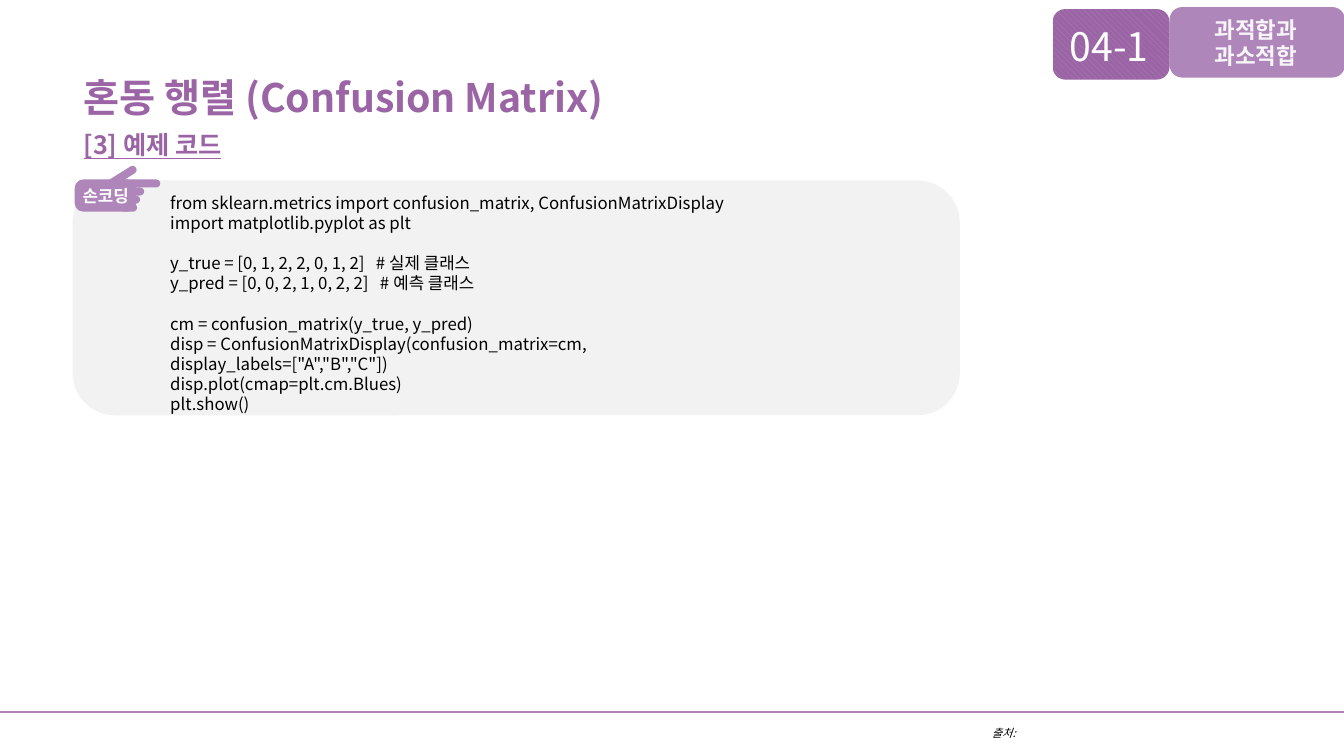
from lxml import etree
from pptx import Presentation
from pptx.dml.color import RGBColor
from pptx.enum.dml import MSO_PATTERN
from pptx.enum.shapes import MSO_CONNECTOR, MSO_SHAPE
from pptx.oxml.ns import qn
from pptx.util import Inches, Pt

ROUNDED = MSO_SHAPE.ROUNDED_RECTANGLE
STRAIGHT = MSO_CONNECTOR.STRAIGHT
WIDE_DIAGONAL = MSO_PATTERN.WIDE_DOWNWARD_DIAGONAL

FONT = "Noto Sans CJK KR"
COLORS = {
    "purple": "9A64A5",
    "light_purple": "AF85B9",
    "hand": "AF86BA",
    "panel": "F2F2F2",
    "topic": "F8F5F9",
    "white": "FFFFFF",
    "black": "000000",
}

# Each block of code is set apart by a gap of one line
CODE_BLOCKS = [
    [
        "from sklearn.metrics import confusion_matrix, ConfusionMatrixDisplay",
        "import matplotlib.pyplot as plt",
    ],
    [
        "y_true = [0, 1, 2, 2, 0, 1, 2]   # 실제 클래스",
        "y_pred = [0, 0, 2, 1, 0, 2, 2]   # 예측 클래스",
    ],
    [
        "cm = confusion_matrix(y_true, y_pred)",
        'disp = ConfusionMatrixDisplay(confusion_matrix=cm, display_labels=["A","B","C"])',
        "disp.plot(cmap=plt.cm.Blues)",
        "plt.show()",
    ],
]

# Fingers of the pointing hand: left, top, width, rotation
FINGER_HEIGHT = 0.08
FINGERS = [
    (1.19, 2.02, 0.17, 0),
    (1.19, 1.94, 0.2, 0),
    (1.17, 1.86, 0.26, 0),
    (1.19, 1.78, 0.4, 0),
    (0.98, 1.73, 0.4, 327.9),
]


def rgb(name):
    return RGBColor.from_string(COLORS[name])


def style_paragraph(paragraph, size, color, line_height, bold=False, italic=False, underline=False):
    paragraph.line_spacing = Pt(line_height)
    font = paragraph.font
    font.size = Pt(size)
    font.name = FONT
    font.color.rgb = rgb(color)
    font.bold = bold
    font.italic = italic
    font.underline = underline
    # Korean letters take the East Asian typeface
    properties = paragraph._p.pPr.find(qn("a:defRPr"))
    etree.SubElement(properties, qn("a:ea")).set("typeface", FONT)


def add_text_box(shapes, left, top, width, height, wrap=True):
    box = shapes.add_textbox(Inches(left), Inches(top), Inches(width), Inches(height))
    box.text_frame.word_wrap = wrap
    return box.text_frame


def add_label(shapes, text, left, top, width, height, wrap=True, **style):
    paragraph = add_text_box(shapes, left, top, width, height, wrap).paragraphs[0]
    paragraph.text = text
    style_paragraph(paragraph, **style)


def add_rounded(shapes, left, top, width, height, corner, color):
    shape = shapes.add_shape(ROUNDED, Inches(left), Inches(top), Inches(width), Inches(height))
    shape.adjustments[0] = corner
    shape.shadow.inherit = False
    shape.fill.solid()
    shape.fill.fore_color.rgb = rgb(color)
    shape.line.fill.background()
    return shape


def add_footer_line(shapes):
    line = shapes.add_connector(STRAIGHT, 0, Inches(7.06), Inches(13.33), Inches(7.06))
    line.line.color.rgb = rgb("light_purple")
    line.line.width = Pt(1.5)
    etree.SubElement(line._element.spPr, qn("a:effectLst"))


def add_hand(shapes):
    hand = shapes.add_group_shape().shapes
    add_rounded(hand, 0.74, 1.78, 0.61, 0.32, 0.27, "hand")
    for left, top, width, rotation in FINGERS:
        finger = add_rounded(hand, left, top, width, FINGER_HEIGHT, 0.5, "hand")
        finger.rotation = rotation


def add_code(shapes):
    size, line_height = 12, 14.4
    frame = add_text_box(shapes, 1.59, 1.86, 6.44, 2.12)
    paragraph = frame.paragraphs[0]
    for block_index, block in enumerate(CODE_BLOCKS):
        for line_index, code in enumerate(block):
            if block_index or line_index:
                paragraph = frame.add_paragraph()
            paragraph.text = code
            style_paragraph(paragraph, size, "black", line_height)
            if block_index and line_index == 0:
                paragraph.space_before = Pt(line_height)


def add_section_tabs(shapes):
    number_tab = add_rounded(shapes, 10.44, 0.09, 1.16, 0.7, 0.18, "purple")
    number_tab.fill.patterned()
    number_tab.fill.pattern = WIDE_DIAGONAL
    number_tab.fill.fore_color.rgb = rgb("hand")
    number_tab.fill.back_color.rgb = rgb("purple")
    add_rounded(shapes, 11.6, 0.07, 1.74, 0.7, 0.18, "hand")
    add_label(shapes, "04-1", 10.51, 0.14, 1.09, 0.57,
              size=28, color="white", line_height=36)
    add_label(shapes, "과적합과 과소적합", 11.95, 0.11, 1.28, 0.64,
              size=16, color="topic", line_height=19, bold=True)


def main():
    presentation = Presentation()
    presentation.slide_width = Inches(13.33)
    presentation.slide_height = Inches(7.5)
    slide = presentation.slides.add_slide(presentation.slide_layouts[6])
    shapes = slide.shapes

    # Headings
    add_label(shapes, "혼동 행렬 (Confusion Matrix)", 0.73, 0.42, 9.11, 0.7,
              size=28, color="purple", line_height=52, bold=True)
    add_label(shapes, "[3] 예제 코드", 0.73, 1.23, 8.39, 0.4,
              size=18, color="purple", line_height=22, bold=True, underline=True)

    # Footer
    add_label(shapes, "출처:", 9.74, 7.16, 3.6, 0.24,
              size=8, color="black", line_height=9.6, italic=True)
    add_footer_line(shapes)

    # Code panel with the pointing hand
    add_rounded(shapes, 0.72, 1.79, 8.8, 2.33, 0.18, "panel")
    add_hand(shapes)
    add_label(shapes, "손코딩", 0.72, 1.79, 0.71, 0.3, wrap=False,
              size=12, color="white", line_height=14.4, bold=True)
    add_code(shapes)

    # Section tabs at the top right
    add_section_tabs(shapes)

    presentation.save("out.pptx")


if __name__ == "__main__":
    main()
